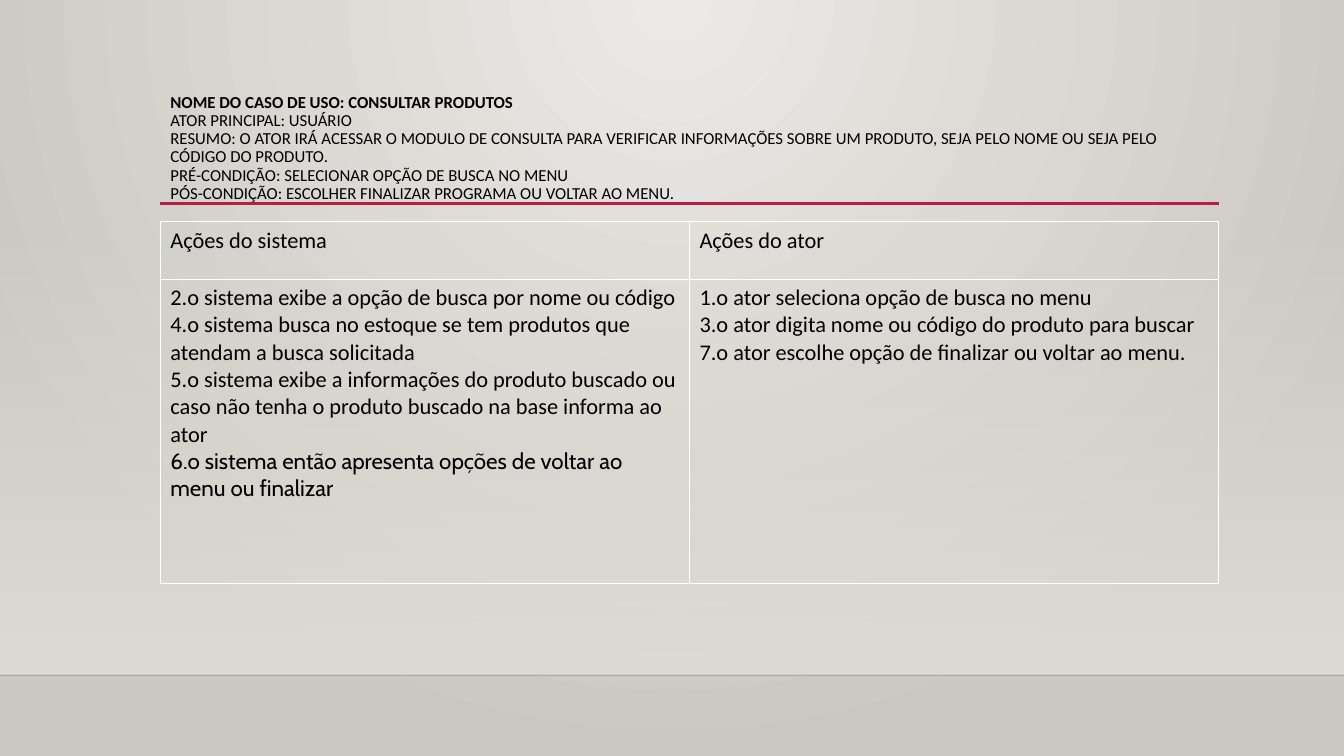
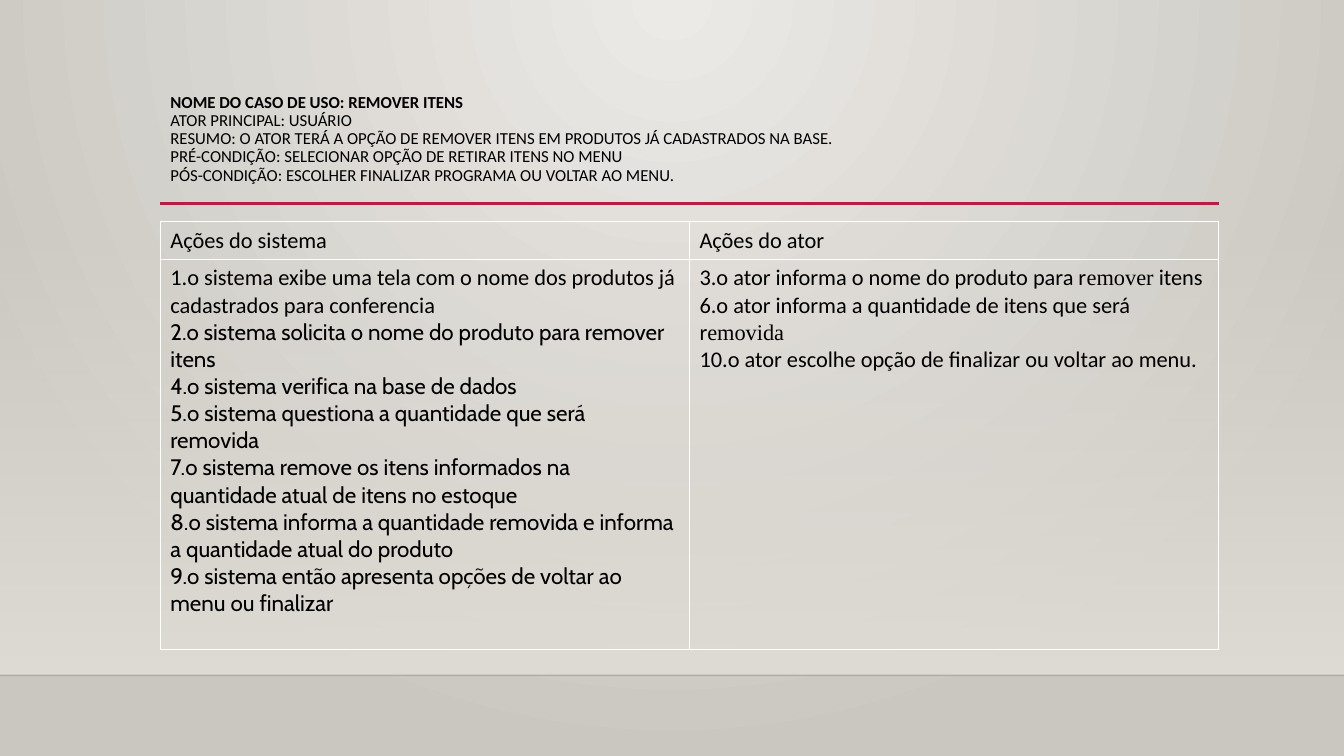
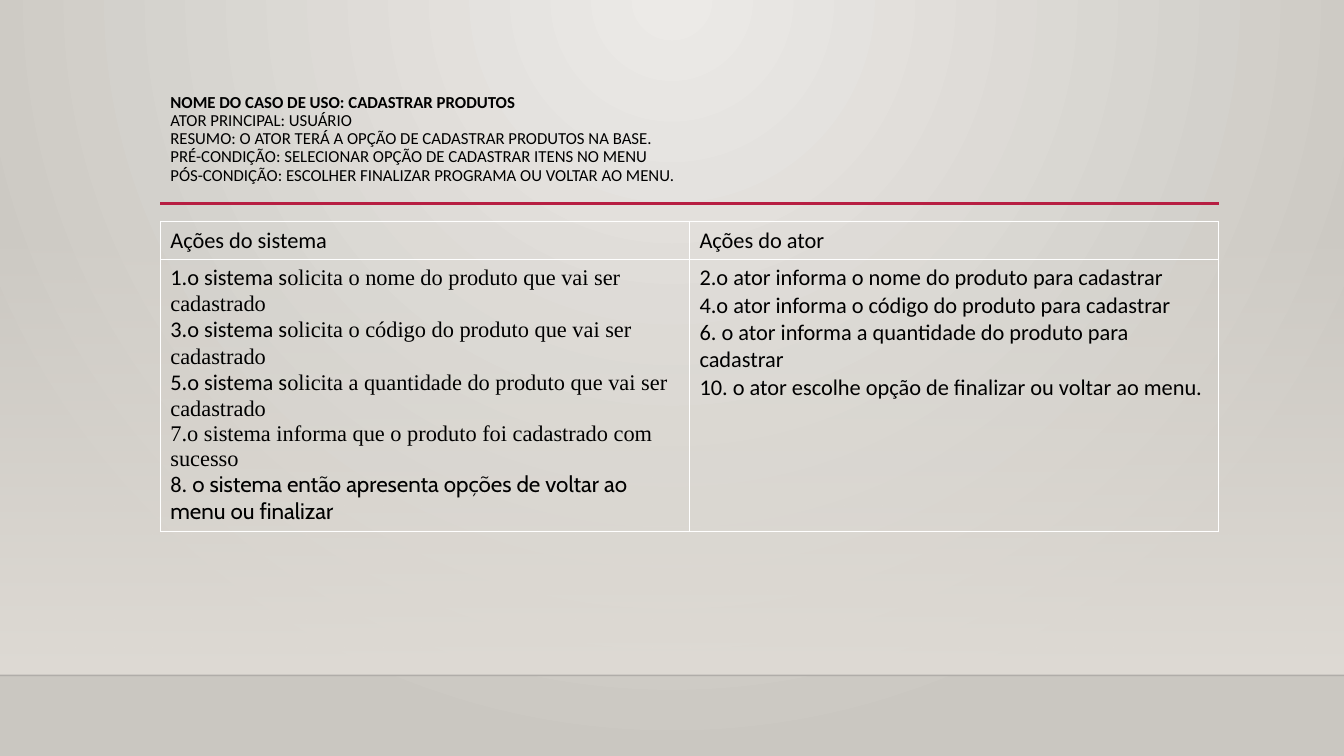
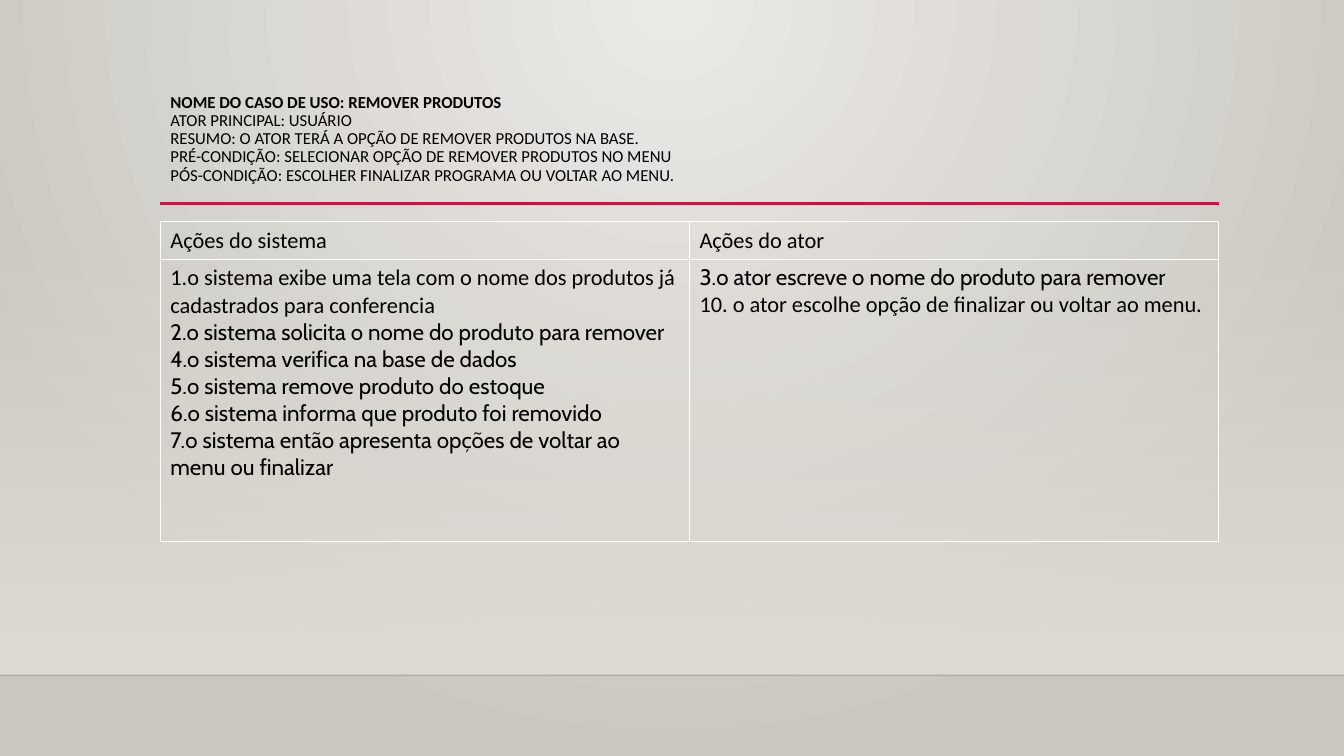
from lxml.etree import SubElement
from pptx import Presentation
from pptx.dml.color import RGBColor
from pptx.enum.shapes import MSO_CONNECTOR, MSO_SHAPE
from pptx.enum.text import MSO_ANCHOR, MSO_AUTO_SIZE, PP_ALIGN
from pptx.oxml.ns import qn
from pptx.util import Cm, Pt

COLORS = {
    "glow": "ECEAE7",
    "edge": "CAC7C1",
    "wall": "DFDBD5",
    "floor": "000001",
    "accent": "B71E42",
    "text": "000000",
    "grid": "FFFFFF",
}
CALIBRI, CABIN, TIMES = "Calibri", "Cabin", "Times New Roman"
WIDTH, HEIGHT = 33.87, 19.05
LEFT, CONTENT_WIDTH = 4.04, 26.67
RULE_TOP, WALL_TOP, FLOOR_TOP = 5.13, 5.61, 17.02
TABLE_TOP = 5.59
HEADINGS = ("Ações do sistema", "Ações do ator")
ACTOR = "ATOR PRINCIPAL: USUÁRIO"
AFTERWARDS = "PÓS-CONDIÇÃO: ESCOLHER FINALIZAR PROGRAMA OU VOLTAR AO MENU."
SHOW_PRODUCTS = "1.o sistema exibe uma tela com o nome dos produtos já cadastrados para conferencia"
OFFER_EXIT = "o sistema então apresenta opções de voltar ao menu ou finalizar"
CHOOSE_EXIT = "o ator escolhe opção de finalizar ou voltar ao menu."

USE_CASES = [
    {
        "name": "CONSULTAR PRODUTOS",
        "summary": "O ATOR IRÁ ACESSAR O MODULO DE CONSULTA PARA VERIFICAR INFORMAÇÕES SOBRE "
                   "UM PRODUTO, SEJA PELO NOME OU SEJA PELO CÓDIGO DO PRODUTO.",
        "before": "SELECIONAR OPÇÃO DE BUSCA NO MENU",
        "rows": (1.44, 7.66),
        "system": [
            "2.o sistema exibe a opção de busca por nome ou código",
            "4.o sistema busca no estoque se tem produtos que atendam a busca solicitada",
            "5.o sistema exibe a informações do produto buscado ou caso não tenha "
            "o produto buscado na base informa ao ator",
            [("6." + OFFER_EXIT, CABIN)],
        ],
        "actor": [
            "1.o ator seleciona opção de busca no menu",
            "3.o ator digita nome ou código do produto para buscar",
            "7." + CHOOSE_EXIT,
        ],
    },
    {
        "name": "REMOVER ITENS",
        "summary": "O ATOR TERÁ A OPÇÃO DE REMOVER ITENS EM PRODUTOS JÁ CADASTRADOS NA BASE.",
        "before": "SELECIONAR OPÇÃO DE RETIRAR ITENS NO MENU",
        "rows": (0.94, 9.83),
        "system": [
            SHOW_PRODUCTS,
            [("2.o sistema solicita o nome do produto para remover itens", CABIN)],
            [("4.o sistema verifica na base de dados", CABIN)],
            [("5.o sistema questiona a quantidade que será removida", CABIN)],
            [("7.o sistema remove os itens informados na quantidade atual de itens no estoque", CABIN)],
            [("8.o sistema informa a quantidade removida e informa a quantidade atual do produto", CABIN)],
            [("9." + OFFER_EXIT, CABIN)],
        ],
        "actor": [
            [("3.o ator informa o nome do produto para r", CALIBRI), ("emover", TIMES), (" itens", CALIBRI)],
            [("6.o ator informa a quantidade de itens que será r", CALIBRI), ("emovida", TIMES)],
            "10." + CHOOSE_EXIT,
        ],
    },
    {
        "name": "CADASTRAR PRODUTOS",
        "summary": "O ATOR TERÁ A OPÇÃO DE CADASTRAR PRODUTOS NA BASE.",
        "before": "SELECIONAR OPÇÃO DE CADASTRAR ITENS NO MENU",
        "rows": (0.94, 6.85),
        "system": [
            [("1.o sistema s", CALIBRI), ("olicita o nome do produto que vai ser cadastrado", TIMES)],
            [("3.o sistema s", CALIBRI), ("olicita o código do produto que vai ser cadastrado", TIMES)],
            [("5.o sistema s", CALIBRI), ("olicita a quantidade do produto que vai ser cadastrado", TIMES)],
            [("7.o sistema informa que o produto foi cadastrado com sucesso", TIMES)],
            [("8.", CALIBRI), (" " + OFFER_EXIT, CABIN)],
        ],
        "actor": [
            "2.o ator informa o nome do produto para cadastrar",
            "4.o ator informa o código do produto para cadastrar",
            "6. o ator informa a quantidade do produto para cadastrar",
            "10. " + CHOOSE_EXIT,
        ],
    },
    {
        "name": "REMOVER PRODUTOS",
        "summary": "O ATOR TERÁ A OPÇÃO DE REMOVER PRODUTOS NA BASE.",
        "before": "SELECIONAR OPÇÃO DE REMOVER PRODUTOS NO MENU",
        "rows": (0.94, 7.1),
        "system": [
            SHOW_PRODUCTS,
            [("2.o sistema solicita o nome do produto para remover", CABIN)],
            [("4.o sistema verifica na base de dados", CABIN)],
            [("5.o sistema remove produto do estoque", CABIN)],
            [("6.o sistema informa que produto foi removido", CABIN)],
            [("7." + OFFER_EXIT, CABIN)],
        ],
        "actor": [
            [("3.o ator escreve o nome do produto para remover", CABIN)],
            "10. " + CHOOSE_EXIT,
        ],
    },
]


class UseCaseDeck:
    """Holds the shared style and the current slide."""

    def __init__(self):
        self.deck = Presentation()
        self.deck.slide_width, self.deck.slide_height = Cm(WIDTH), Cm(HEIGHT)
        self.layout = self.deck.slide_layouts[5]
        self.slide = None

    def color(self, name):
        return RGBColor.from_string(COLORS[name])

    def gradient(self, fill, start, end):
        fill.gradient()
        for stop, name in zip(fill.gradient_stops, (start, end)):
            stop.color.rgb = self.color(name)

    def fade(self, element, percent):
        tint = next(element.iter(qn("a:srgbClr")))
        SubElement(tint, qn("a:alpha"), val=str(percent * 1000))

    def new_slide(self):
        self.slide = self.deck.slides.add_slide(self.layout)

    def background(self):
        backdrop = self.slide.background
        self.gradient(backdrop.fill, "glow", "edge")
        glow = next(self.slide.element.iter(qn("a:gradFill")))
        glow.remove(glow.find(qn("a:lin")))
        circle = SubElement(glow, qn("a:path"), {"path": "circle"})
        SubElement(circle, qn("a:fillToRect"), l="43000", t="0", r="43000", b="100000")

    def wall(self):
        wall = self.slide.shapes.add_shape(
            MSO_SHAPE.RECTANGLE, 0, Cm(WALL_TOP), Cm(WIDTH), Cm(FLOOR_TOP - WALL_TOP))
        wall.shadow.inherit = False
        wall.line.fill.background()
        self.gradient(wall.fill, "wall", "wall")
        wall.fill.gradient_angle = 270
        self.fade(wall.element.spPr, 0)

    def rule(self, left, top, width, color, weight, opacity=100):
        rule = self.slide.shapes.add_connector(
            MSO_CONNECTOR.STRAIGHT, Cm(left), Cm(top), Cm(left + width), Cm(top))
        rule.line.color.rgb = self.color(color)
        rule.line.width = Pt(weight)
        properties = rule.element.spPr
        if opacity < 100:
            self.fade(properties, opacity)
        SubElement(properties, qn("a:effectLst"))

    def add_text(self, frame, paragraphs, size, bold_first=False, spacing=None):
        for index, content in enumerate(paragraphs):
            paragraph = frame.add_paragraph() if index else frame.paragraphs[0]
            paragraph.alignment = PP_ALIGN.LEFT
            if spacing:
                paragraph.line_spacing = spacing
            for text, font in [(content, CALIBRI)] if isinstance(content, str) else content:
                run = paragraph.add_run()
                run.text = text
                run.font.name = font
                run.font.size = Pt(size)
                run.font.bold = bold_first and index == 0
                run.font.color.rgb = self.color("text")

    def title(self, lines):
        title = self.slide.shapes.title
        title.left, title.top = Cm(LEFT), Cm(2.24)
        title.width, title.height = Cm(CONTENT_WIDTH), Cm(2.92)
        frame = title.text_frame
        frame.word_wrap = True
        frame.auto_size = MSO_AUTO_SIZE.NONE
        frame.vertical_anchor = MSO_ANCHOR.TOP
        self.add_text(frame, lines, 12, bold_first=True, spacing=0.9)

    def border(self, cell):
        properties = cell._tc.get_or_add_tcPr()
        for position, side in enumerate(("lnL", "lnR", "lnT", "lnB")):
            edge = SubElement(properties, qn("a:" + side), w=str(Pt(0.75)))
            SubElement(SubElement(edge, qn("a:solidFill")), qn("a:srgbClr"), val=COLORS["grid"])
            properties.insert(position, edge)

    def table(self, rows, heights):
        table = self.slide.shapes.add_table(
            len(rows), len(HEADINGS), Cm(LEFT), Cm(TABLE_TOP),
            Cm(CONTENT_WIDTH), Cm(sum(heights))).table
        table.first_row = table.horz_banding = False
        for row, (contents, height) in enumerate(zip(rows, heights)):
            table.rows[row].height = Cm(height)
            for column, paragraphs in enumerate(contents):
                cell = table.cell(row, column)
                cell.fill.background()
                self.border(cell)
                self.add_text(cell.text_frame, paragraphs, 16)

    def use_case(self, case):
        self.new_slide()
        self.background()
        self.wall()
        self.rule(0, FLOOR_TOP, WIDTH, "floor", 1, opacity=20)
        self.rule(LEFT, RULE_TOP, CONTENT_WIDTH, "accent", 2.5)
        self.title([
            "NOME DO CASO DE USO: " + case["name"],
            ACTOR,
            "RESUMO: " + case["summary"],
            "PRÉ-CONDIÇÃO: " + case["before"],
            AFTERWARDS,
        ])
        headings = [[heading] for heading in HEADINGS]
        self.table([headings, (case["system"], case["actor"])], case["rows"])


def main():
    builder = UseCaseDeck()
    for case in USE_CASES:
        builder.use_case(case)
    builder.deck.save("out.pptx")


if __name__ == "__main__":
    main()
